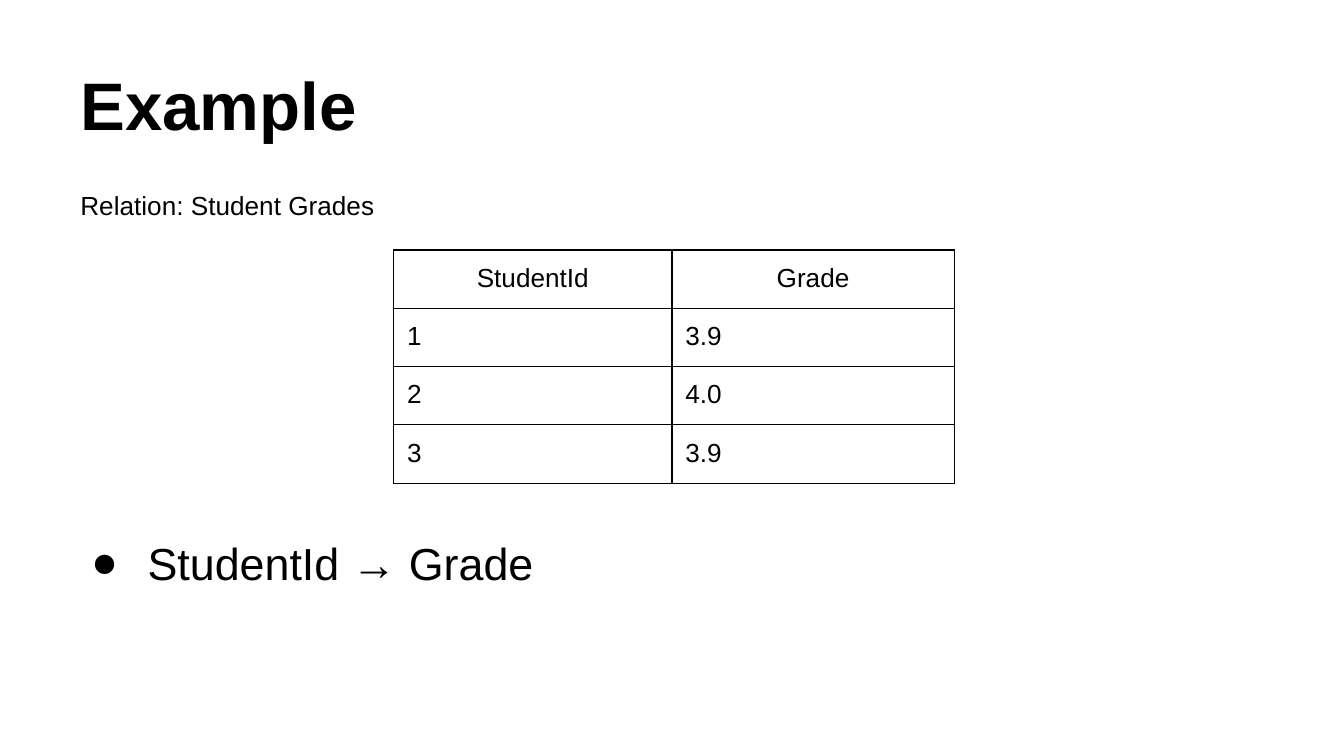
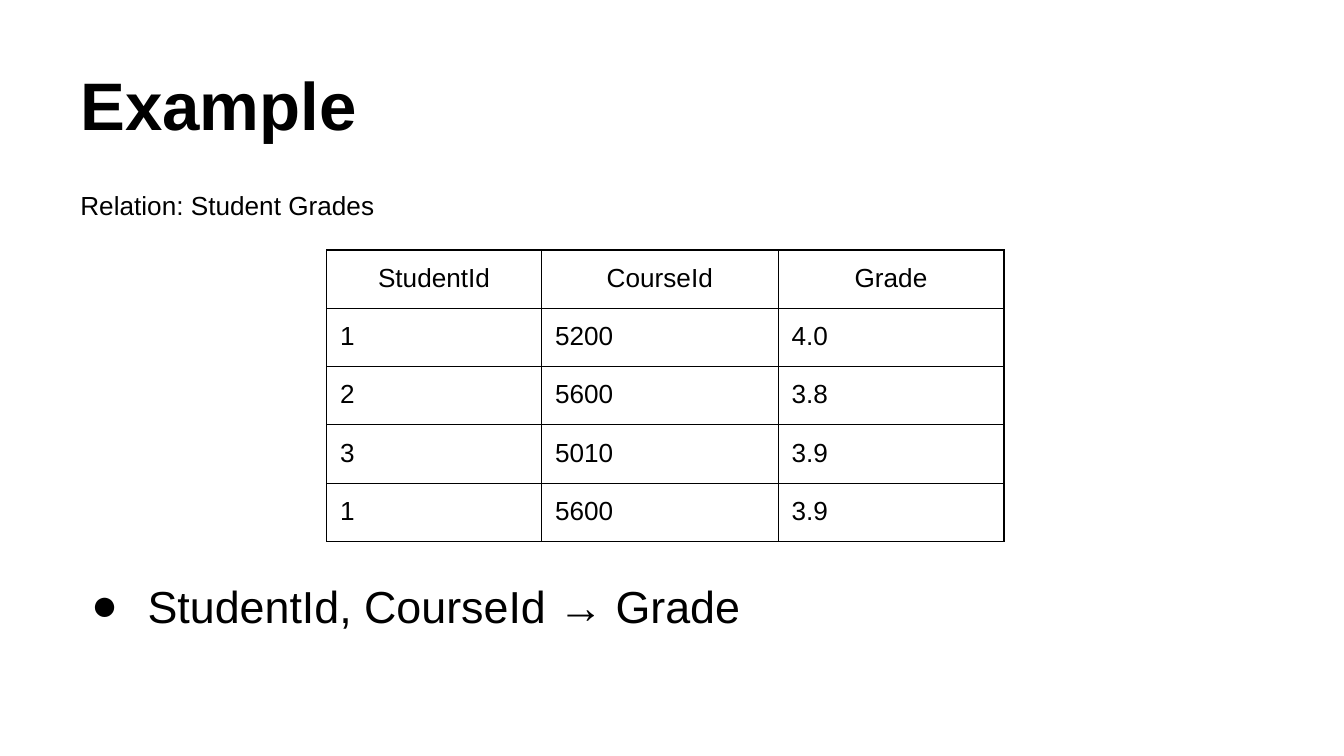
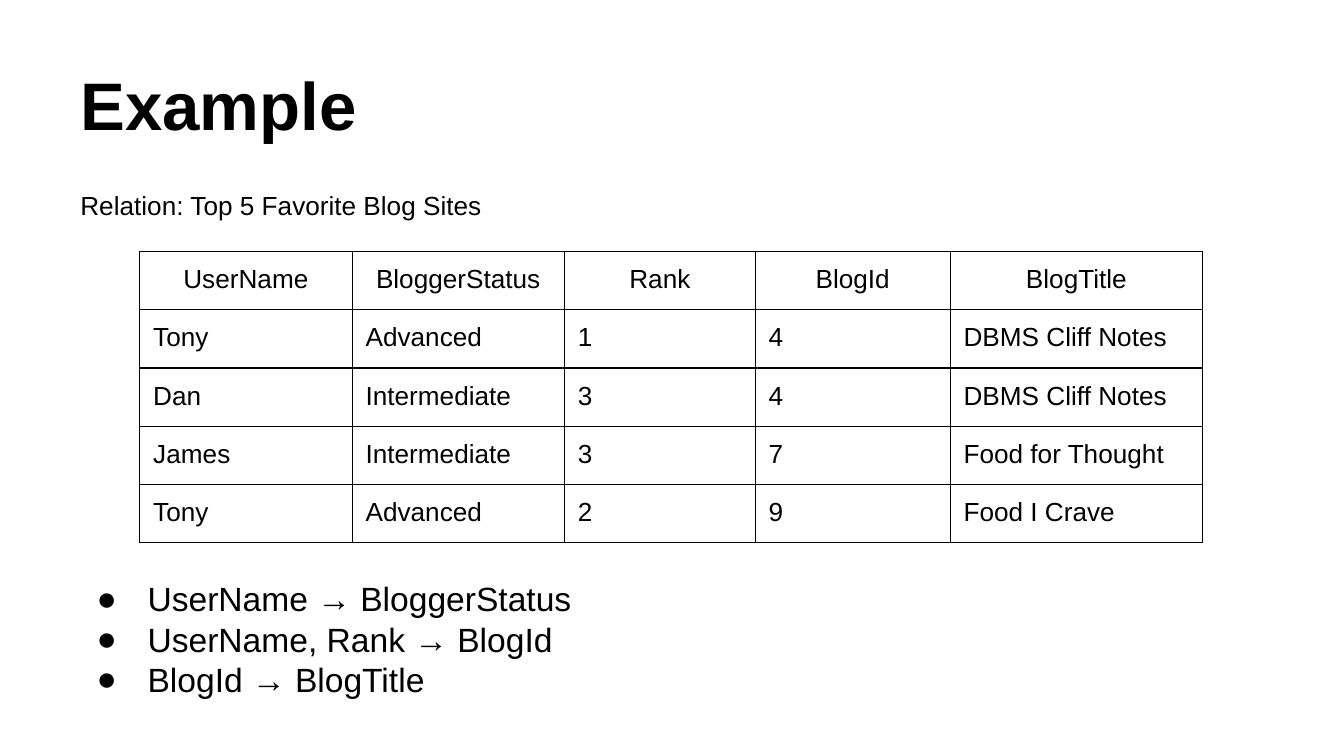
"""Build three slides of relation tables with their functional dependencies."""
from dataclasses import dataclass

from lxml import etree
from pptx import Presentation
from pptx import util as u
from pptx.dml import color
from pptx.enum import text
from pptx.oxml import ns


@dataclass(frozen=True)
class Theme:
    font: str = "Arial"
    ink: str = "000000"
    paper: str = "FFFFFF"
    title_size: int = 36
    body_size: int = 14
    border: float = 0.75
    inset: float = 0.1
    left: float = 0.5
    width: float = 9
    row_height: float = 0.42
    table_frame: float = 3.28


class Deck:
    def __init__(self, theme):
        self.theme = theme
        self.presentation = Presentation()
        self.presentation.slide_width = u.Inches(10)
        self.presentation.slide_height = u.Inches(10 * 9 / 16)
        self.slide = None

    def add_slide(self):
        self.slide = self.presentation.slides.add_slide(self.presentation.slide_layouts[6])
        fill = self.slide.background.fill
        fill.solid()
        fill.fore_color.rgb = color.RGBColor.from_string(self.theme.paper)

    def style(self, paragraph, size, bold=False):
        font = paragraph.font
        font.name = self.theme.font
        font.size = u.Pt(size)
        font.bold = bold
        font.color.rgb = color.RGBColor.from_string(self.theme.ink)

    def set_insets(self, holder):
        inset = u.Inches(self.theme.inset)
        holder.margin_left = holder.margin_right = inset
        holder.margin_top = holder.margin_bottom = inset

    def text_frame(self, top, height):
        box = self.slide.shapes.add_textbox(
            u.Inches(self.theme.left), u.Inches(top), u.Inches(self.theme.width), u.Inches(height))
        frame = box.text_frame
        frame.word_wrap = True
        self.set_insets(frame)
        return frame

    def title(self, wording):
        frame = self.text_frame(0.23, 0.94)
        frame.vertical_anchor = text.MSO_ANCHOR.BOTTOM
        frame.text = wording
        self.style(frame.paragraphs[0], self.theme.title_size, bold=True)

    def bullet(self, paragraph, hanging):
        properties = paragraph._p.get_or_add_pPr()
        properties.set("marL", str(u.Inches(0.5)))
        properties.set("indent", str(-u.Inches(hanging)))
        bullet_color = etree.SubElement(properties, ns.qn("a:buClr"))
        etree.SubElement(bullet_color, ns.qn("a:srgbClr"), val=self.theme.ink)
        etree.SubElement(properties, ns.qn("a:buFont"), typeface=self.theme.font)
        etree.SubElement(properties, ns.qn("a:buChar"), char="●")

    def body(self, relation, dependencies, size, hanging, gap):
        frame = self.text_frame(1.31, 4.07)
        frame.text = f"Relation: {relation}"
        self.style(frame.paragraphs[0], self.theme.body_size)
        for index, (determinant, dependent) in enumerate(dependencies):
            paragraph = frame.add_paragraph()
            paragraph.text = f"{determinant} → {dependent}"
            paragraph.space_before = u.Pt(0 if index else gap)
            self.bullet(paragraph, hanging)
            self.style(paragraph, size)

    def outline(self, cell):
        properties = cell._tc.get_or_add_tcPr()
        for position, side in enumerate(("a:lnL", "a:lnR", "a:lnT", "a:lnB")):
            line = etree.Element(ns.qn(side), w=str(u.Pt(self.theme.border)))
            fill = etree.SubElement(line, ns.qn("a:solidFill"))
            etree.SubElement(fill, ns.qn("a:srgbClr"), val=self.theme.ink)
            properties.insert(position, line)

    def table(self, left, top, widths, rows):
        side = u.Inches(self.theme.table_frame)
        shape = self.slide.shapes.add_table(
            len(rows), len(widths), u.Inches(left), u.Inches(top), side, side)
        table = shape.table
        table.first_row = table.horz_banding = False
        for column, width in zip(table.columns, widths):
            column.width = u.Inches(width)
        for row_index, row in enumerate(rows):
            table.rows[row_index].height = u.Inches(self.theme.row_height)
            for column_index, value in enumerate(row):
                cell = table.cell(row_index, column_index)
                cell.text = value
                cell.fill.background()
                self.set_insets(cell)
                self.outline(cell)
                paragraph = cell.text_frame.paragraphs[0]
                paragraph.alignment = text.PP_ALIGN.LEFT if row_index else text.PP_ALIGN.CENTER
                self.style(paragraph, self.theme.body_size)
        shape.width = shape.height = side

    def example(self, body, table):
        self.add_slide()
        self.title("Example")
        self.body(**body)
        self.table(**table)


deck = Deck(Theme())
deck.example(
    dict(relation="Student Grades", dependencies=[("StudentId", "Grade")],
         size=24, hanging=0.42, gap=168.5),
    dict(left=2.93, top=1.86, widths=[2.07, 2.1], rows=[
        ("StudentId", "Grade"),
        ("1", "3.9"),
        ("2", "4.0"),
        ("3", "3.9"),
    ]))
deck.example(
    dict(relation="Student Grades", dependencies=[("StudentId, CourseId", "Grade")],
         size=24, hanging=0.42, gap=191.5),
    dict(left=2.43, top=1.86, widths=[1.6, 1.76, 1.68], rows=[
        ("StudentId", "CourseId", "Grade"),
        ("1", "5200", "4.0"),
        ("2", "5600", "3.8"),
        ("3", "5010", "3.9"),
        ("1", "5600", "3.9"),
    ]))
deck.example(
    dict(relation="Top 5 Favorite Blog Sites",
         dependencies=[("UserName", "BloggerStatus"), ("UserName, Rank", "BlogId"),
                       ("BlogId", "BlogTitle")],
         size=18, hanging=0.38, gap=191.5),
    dict(left=1.04, top=1.87, widths=[1.58, 1.58, 1.42, 1.45, 1.88], rows=[
        ("UserName", "BloggerStatus", "Rank", "BlogId", "BlogTitle"),
        ("Tony", "Advanced", "1", "4", "DBMS Cliff Notes"),
        ("Dan", "Intermediate", "3", "4", "DBMS Cliff Notes"),
        ("James", "Intermediate", "3", "7", "Food for Thought"),
        ("Tony", "Advanced", "2", "9", "Food I Crave"),
    ]))
deck.presentation.save("out.pptx")
